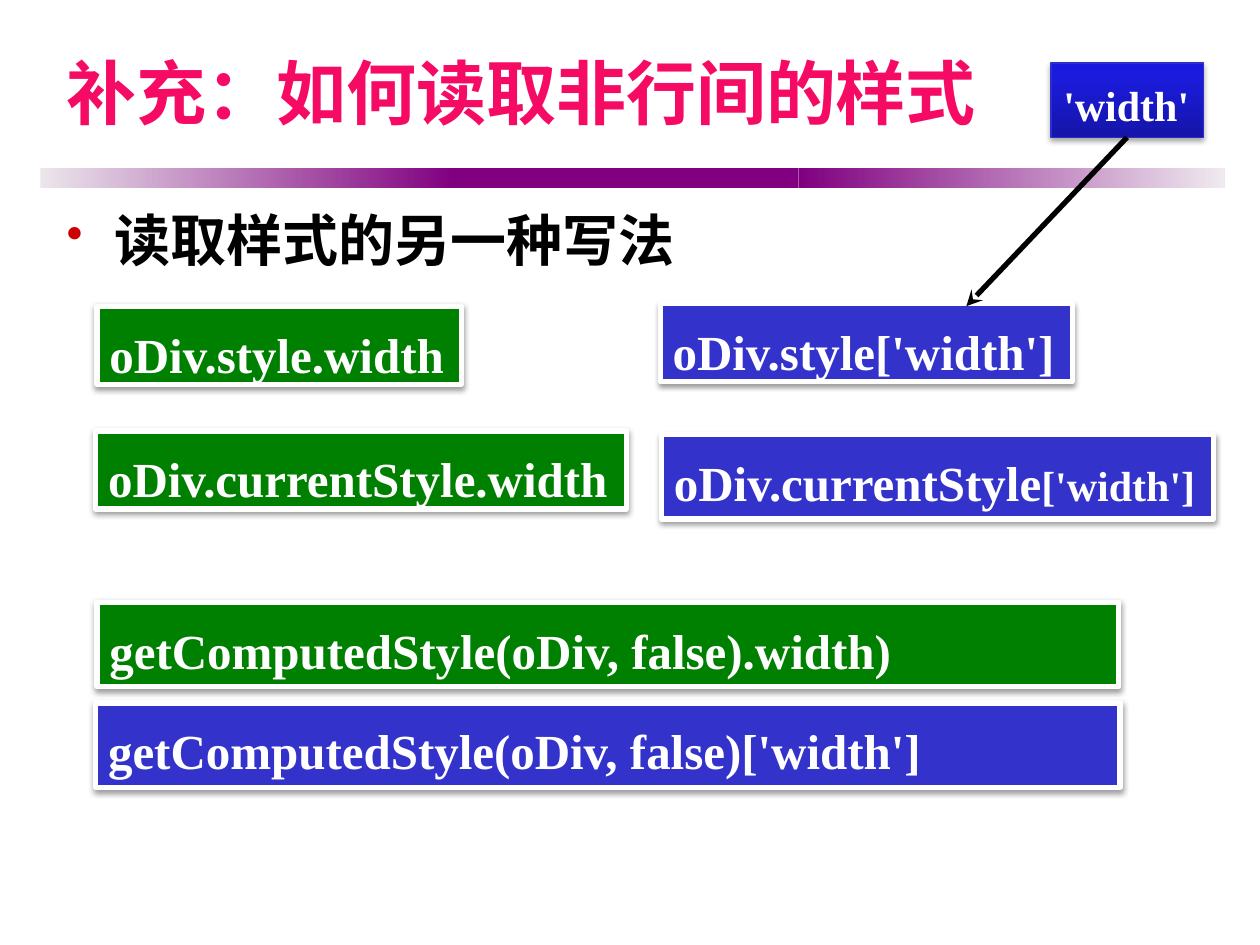
import lxml.etree
import pptx
import pptx.dml.color
import pptx.enum.shapes
import pptx.enum.text
import pptx.oxml
import pptx.oxml.ns
import pptx.util

COLORS = {
    "title": "F50A64", "text": "000000", "bullet": "CC0000", "white": "FFFFFF",
    "dot": "008000", "bracket": "3333CC", "band": "800080",
    "band_left": "EBE6EB", "band_right": "EFEAEF",
    "key_dark": "1515A9", "key_mid": "1B1BDC", "key_light": "1818E1", "key_line": "2E2ECB",
}
LATIN, CHINESE = "Times New Roman", "Noto Sans CJK SC"
COLUMNS, ROWS = 100, 75
NAMESPACE = pptx.oxml.ns.nsdecls("a")

presentation = pptx.Presentation()
presentation.slide_width = pptx.util.Inches(10)
presentation.slide_height = pptx.util.Inches(7.5)
COLUMN = presentation.slide_width / COLUMNS
ROW = presentation.slide_height / ROWS


def to_lengths(box):
    """Turn a box of grid columns and rows into slide lengths."""
    left, top, width, height = box
    return [round(n) for n in (left * COLUMN, top * ROW, width * COLUMN, height * ROW)]


def color(name):
    return pptx.dml.color.RGBColor.from_string(COLORS[name])


def format_run(run, size, color_name, latin=LATIN):
    run.font.size = pptx.util.Pt(size)
    run.font.bold = True
    run.font.name = latin
    run.font.color.rgb = color(color_name)
    east_asian = lxml.etree.SubElement(run.font._element, pptx.oxml.ns.qn("a:ea"))
    east_asian.set("typeface", CHINESE)


def fill_gradient(shape, stops, angle):
    """Fill with (percent, colour name) stops; the angle runs clockwise."""
    shape.fill.background()
    stop_xml = "".join(
        f'<a:gs pos="{percent * 1000}"><a:srgbClr val="{COLORS[name]}"/></a:gs>'
        for percent, name in stops)
    gradient = pptx.oxml.parse_xml(
        f'<a:gradFill {NAMESPACE} rotWithShape="1"><a:gsLst>{stop_xml}</a:gsLst>'
        f'<a:lin ang="{angle * 60000}" scaled="0"/></a:gradFill>')
    properties = shape._element.spPr
    properties.replace(properties.find(pptx.oxml.ns.qn("a:noFill")), gradient)


def add_shadow(shape, opacity):
    shape.shadow.inherit = False
    effects = shape._element.spPr.find(pptx.oxml.ns.qn("a:effectLst"))
    effects.append(pptx.oxml.parse_xml(
        f'<a:outerShdw {NAMESPACE} blurRad="40000" dist="20000" dir="5400000" rotWithShape="0">'
        f'<a:srgbClr val="000000"><a:alpha val="{opacity * 1000}"/></a:srgbClr></a:outerShdw>'))


def add_rectangle(slide, box):
    shape = slide.shapes.add_shape(
        pptx.enum.shapes.MSO_SHAPE.RECTANGLE, *to_lengths(box))
    shape.shadow.inherit = False
    return shape


def add_band(slide, box):
    """Draw the rule under the title: a solid middle that fades at both ends."""
    left, top, width, height = box
    pieces = [
        (0.35, [(0, "band_left"), (100, "band")]),
        (0.29, [(0, "band"), (100, "band")]),
        (0.36, [(0, "band"), (100, "band_right")]),
    ]
    for share, stops in pieces:
        piece = add_rectangle(slide, (left, top, width * share, height))
        fill_gradient(piece, stops, 0)
        piece.line.fill.background()
        left += width * share


def set_title(slide, box, text):
    title = slide.shapes.title
    title.left, title.top, title.width, title.height = to_lengths(box)
    frame = title.text_frame
    frame.text = text
    frame.vertical_anchor = pptx.enum.text.MSO_ANCHOR.MIDDLE
    paragraph = frame.paragraphs[0]
    paragraph.alignment = pptx.enum.text.PP_ALIGN.LEFT
    format_run(paragraph.runs[0], 40, "title", CHINESE)


def add_bullet(slide, box, text):
    frame = slide.shapes.add_textbox(*to_lengths(box)).text_frame
    frame.word_wrap = True
    frame.text = text
    paragraph = frame.paragraphs[0]
    paragraph.space_before = pptx.util.Pt(6.4)
    format_run(paragraph.runs[0], 32, "text")
    properties = paragraph._p.get_or_add_pPr()
    indent = pptx.util.Inches(0.38)
    properties.set("marL", str(indent))
    properties.set("indent", str(-indent))
    for xml in (f'<a:buClr {NAMESPACE}><a:srgbClr val="{COLORS["bullet"]}"/></a:buClr>',
                f'<a:buSzPct {NAMESPACE} val="85000"/>',
                f'<a:buChar {NAMESPACE} char="•"/>'):
        properties.append(pptx.oxml.parse_xml(xml))


def write_code(shape, parts, wrap):
    """Write (text, size) parts as one line of code."""
    frame = shape.text_frame
    frame.word_wrap = wrap
    frame.vertical_anchor = pptx.enum.text.MSO_ANCHOR.TOP
    paragraph = frame.paragraphs[0]
    paragraph.alignment = pptx.enum.text.PP_ALIGN.LEFT
    paragraph.line_spacing = 1.2
    for text, size in parts:
        run = paragraph.add_run()
        run.text = text
        format_run(run, size, "white")


def add_code_box(slide, box, fill_name, parts, wrap=False):
    shape = add_rectangle(slide, box)
    shape.fill.solid()
    shape.fill.fore_color.rgb = color(fill_name)
    shape.line.color.rgb = color("white")
    shape.line.width = pptx.util.Pt(3)
    add_shadow(shape, 38)
    write_code(shape, parts, wrap)


def add_key_label(slide, box, text):
    shape = add_rectangle(slide, box)
    fill_gradient(shape, [(0, "key_dark"), (80, "key_mid"), (100, "key_light")], 270)
    shape.line.color.rgb = color("key_line")
    shape.line.width = pptx.util.Pt(0.75)
    add_shadow(shape, 35)
    write_code(shape, [(text, 24)], False)
    return shape


def add_arrow(slide, source, column, row):
    """Point from the bottom of the source shape to a grid position."""
    end_x, end_y = round(column * COLUMN), round(row * ROW)
    arrow = slide.shapes.add_connector(
        pptx.enum.shapes.MSO_CONNECTOR.STRAIGHT, 0, 0, end_x, end_y)
    arrow.begin_connect(source, 2)
    arrow.line.color.rgb = color("text")
    arrow.line.width = pptx.util.Pt(3)
    arrow.line._get_or_add_ln().append(
        pptx.oxml.parse_xml(f'<a:tailEnd {NAMESPACE} type="stealth"/>'))
    arrow._element.spPr.append(pptx.oxml.parse_xml(f"<a:effectLst {NAMESPACE}/>"))


def build_style_slide():
    slide = presentation.slides.add_slide(presentation.slide_layouts[5])
    add_band(slide, (3.2, 13.3, 94, 1.6))
    set_title(slide, (4.3, 1.7, 90.6, 11.1), "补充：如何读取非行间的样式")
    add_bullet(slide, (4.3, 15.8, 92.1, 8.3), "读取样式的另一种写法")

    add_code_box(slide, (52.4, 24.1, 32.7, 6.2), "bracket", [("oDiv.style['width']", 28)])
    add_code_box(slide, (7.7, 24.3, 28.9, 6.2), "dot", [("oDiv.style.width", 28)])
    add_code_box(slide, (7.6, 34.2, 42.1, 6.2), "dot", [("oDiv.currentStyle.width", 28)])
    add_code_box(slide, (52.5, 34.5, 43.8, 6.7), "bracket",
                 [("oDiv.currentStyle", 28), ("['width']", 24)])
    add_code_box(slide, (7.6, 55.8, 81.3, 6.7), "bracket",
                 [("getComputedStyle(oDiv, false)['width']", 28)], wrap=True)
    add_code_box(slide, (7.7, 47.8, 81.1, 6.7), "dot",
                 [("getComputedStyle(oDiv, false).width)", 28)], wrap=True)

    key_label = add_key_label(slide, (83.4, 5, 12.1, 5.9), "'width'")
    add_arrow(slide, key_label, 76.7, 24.3)


if __name__ == "__main__":
    build_style_slide()
    presentation.save("out.pptx")
